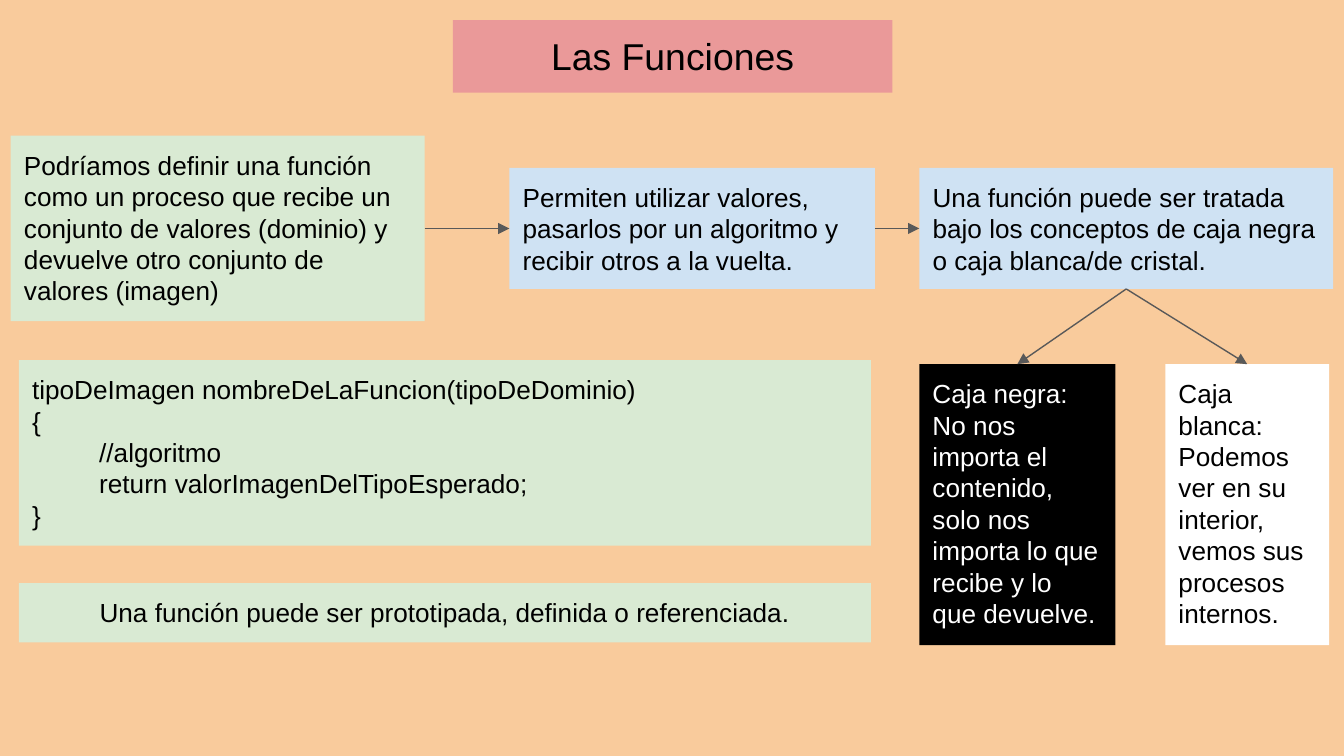
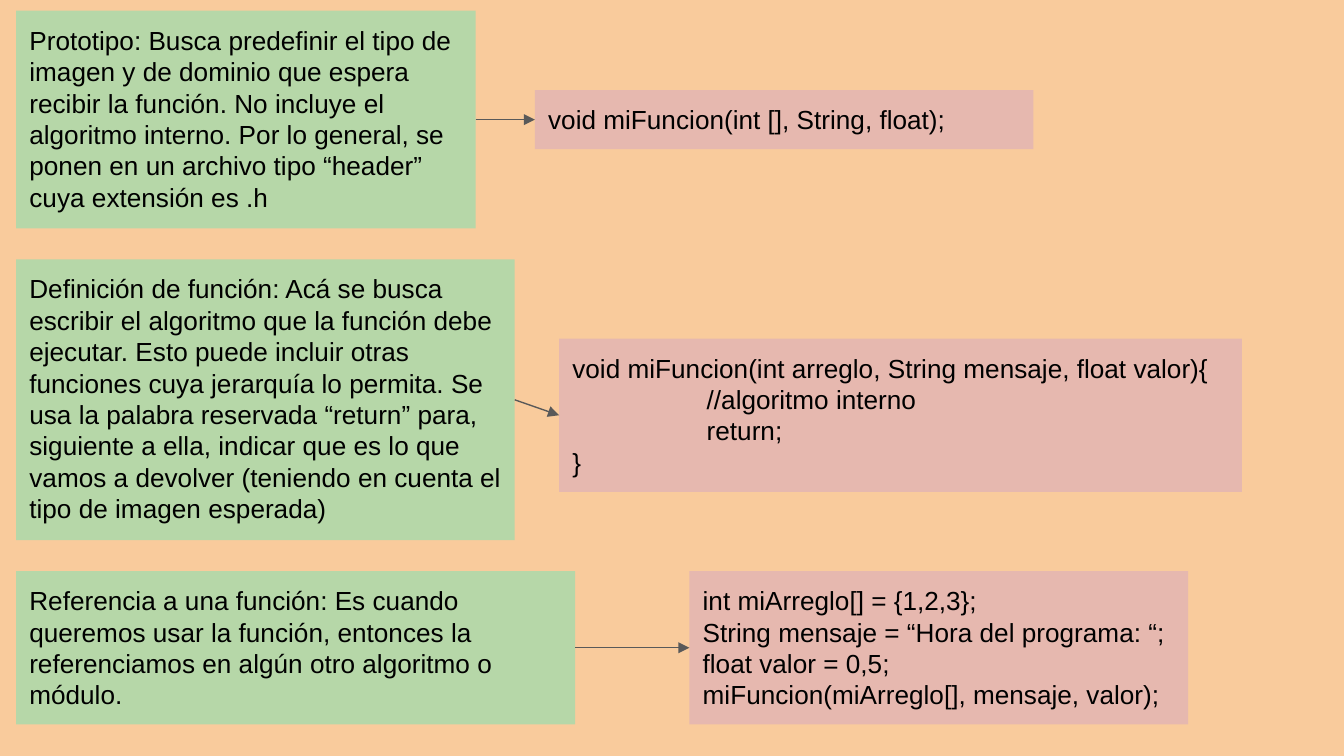
from lxml.etree import SubElement
from pptx import Presentation
from pptx.dml.color import RGBColor
from pptx.enum.shapes import MSO_CONNECTOR as Connector, MSO_SHAPE as Shape
from pptx.enum.text import MSO_ANCHOR as Anchor, MSO_AUTO_SIZE as AutoSize, PP_ALIGN as Align
from pptx.oxml.ns import qn
from pptx.util import Inches, Pt

PEACH, ROSE, PINK = "F9CB9C", "EA9999", "E6B8AF"
BLUE, PALE_GREEN, GREEN = "CFE2F3", "D9EAD3", "B6D7A8"
BLACK, WHITE, GRAY = "000000", "FFFFFF", "595959"
TOP, LEFT, BOTTOM, RIGHT = range(4)
TITLE_ONLY, BLANK = 5, 6


def paint(color_format, color):
    color_format.rgb = RGBColor.from_string(color)


def fill_with(target, color):
    target.fill.solid()
    paint(target.fill.fore_color, color)


def add_page(deck, layout):
    page = deck.slides.add_slide(deck.slide_layouts[layout])
    fill_with(page.background, PEACH)
    return page


def write(box, text, size, color, align, fit):
    frame = box.text_frame
    frame.word_wrap = True
    frame.auto_size = fit
    frame.vertical_anchor = Anchor.TOP
    frame.margin_left = frame.margin_right = Inches(0.1)
    frame.margin_top = frame.margin_bottom = Inches(0.1)
    frame.text = text
    for para in frame.paragraphs:
        para.alignment = align
        for span in para.runs:
            span.font.name = "Arial"
            span.font.size = Pt(size)
            paint(span.font.color, color)


def add_title(page, text, place):
    title = page.shapes.title
    title.left, title.top, title.width, title.height = map(Inches, place)
    fill_with(title, ROSE)
    write(title, text, 20, BLACK, Align.CENTER, AutoSize.NONE)


def add_box(page, place, fill, text, color=BLACK, align=Align.LEFT):
    box = page.shapes.add_shape(Shape.RECTANGLE, *map(Inches, place))
    box.shadow.inherit = False
    box.line.fill.background()
    fill_with(box, fill)
    write(box, text, 14, color, align, AutoSize.SHAPE_TO_FIT_TEXT)
    return box


def indent_lines(paras, distance):
    for para in paras:
        properties = para._p.get_or_add_pPr()
        properties.set("marL", "0")
        properties.set("indent", str(Inches(distance)))


def set_tab(paras, distance):
    for para in paras:
        stops = SubElement(para._p.get_or_add_pPr(), qn("a:tabLst"))
        SubElement(stops, qn("a:tab"), pos=str(Inches(distance)), algn="l")


def add_arrow(page, source, target, start=RIGHT, end=LEFT):
    arrow = page.shapes.add_connector(Connector.STRAIGHT, 0, 0, 0, 0)
    arrow.begin_connect(source, start)
    arrow.end_connect(target, end)
    arrow.line.width = Pt(0.75)
    paint(arrow.line.color, GRAY)
    SubElement(arrow.line._get_or_add_ln(), qn("a:tailEnd"), type="triangle")
    SubElement(arrow._element.spPr, qn("a:effectLst"))


def build_concepts(deck):
    page = add_page(deck, TITLE_ONLY)
    add_title(page, "Las Funciones", (3.37, 0.15, 3.27, 0.54))
    definition = add_box(
        page, (0.08, 1.01, 3.08, 1.38), PALE_GREEN,
        "Podríamos definir una función como un proceso que recibe un conjunto "
        "de valores (dominio) y devuelve otro conjunto de valores (imagen)")
    purpose = add_box(
        page, (3.79, 1.25, 2.72, 0.9), BLUE,
        "Permiten utilizar valores, pasarlos por un algoritmo y recibir otros a la vuelta.")
    concepts = add_box(
        page, (6.84, 1.25, 3.08, 0.9), BLUE,
        "Una función puede ser tratada bajo los conceptos de caja negra "
        "o caja blanca/de cristal.")
    black_box = add_box(
        page, (6.84, 2.71, 1.46, 2.09), BLACK,
        "Caja negra: No nos importa el contenido, solo nos importa lo que "
        "recibe y lo que devuelve.", WHITE)
    white_box = add_box(
        page, (8.67, 2.71, 1.22, 2.09), WHITE,
        "Caja blanca: Podemos ver en su interior, vemos sus procesos internos.")
    syntax = add_box(
        page, (0.14, 2.68, 6.34, 1.38), PALE_GREEN,
        "tipoDeImagen nombreDeLaFuncion(tipoDeDominio)\n{\n//algoritmo\n"
        "return valorImagenDelTipoEsperado;\n}")
    indent_lines(syntax.text_frame.paragraphs[2:4], 0.5)
    add_box(page, (0.14, 4.34, 6.34, 0.44), PALE_GREEN,
            "Una función puede ser prototipada, definida o referenciada.",
            align=Align.CENTER)

    add_arrow(page, definition, purpose)
    add_arrow(page, purpose, concepts)
    for kind in (black_box, white_box):
        add_arrow(page, concepts, kind, BOTTOM, TOP)


def build_examples(deck):
    page = add_page(deck, BLANK)
    prototype = add_box(
        page, (0.12, 0.08, 3.42, 1.62), GREEN,
        "Prototipo: Busca predefinir el tipo de imagen y de dominio que espera "
        "recibir la función. No incluye el algoritmo interno. Por lo general, se "
        "ponen en un archivo tipo “header” cuya extensión es .h")
    definition = add_box(
        page, (0.12, 1.93, 3.71, 2.09), GREEN,
        "Definición de función: Acá se busca escribir el algoritmo que la función "
        "debe ejecutar. Esto puede incluir otras funciones cuya jerarquía lo "
        "permita. Se usa la palabra reservada “return” para, siguiente a ella, "
        "indicar que es lo que vamos a devolver (teniendo en cuenta el tipo de "
        "imagen esperada)")
    reference = add_box(
        page, (0.12, 4.25, 4.16, 1.14), GREEN,
        "Referencia a una función: Es cuando queremos usar la función, entonces "
        "la referenciamos en algún otro algoritmo o módulo.")
    prototype_code = add_box(
        page, (3.98, 0.67, 3.71, 0.44), PINK, "void miFuncion(int [], String, float);")
    definition_code = add_box(
        page, (4.16, 2.52, 5.08, 1.14), PINK,
        "void miFuncion(int arreglo, String mensaje, float valor){\n"
        "\t//algoritmo interno\n\treturn;\n}")
    set_tab(definition_code.text_frame.paragraphs[1:3], 1)
    reference_code = add_box(
        page, (5.13, 4.25, 3.71, 1.14), PINK,
        "int miArreglo[] = {1,2,3};\nString mensaje = “Hora del programa: “;\n"
        "float valor = 0,5;\nmiFuncion(miArreglo[], mensaje, valor);")

    add_arrow(page, prototype, prototype_code)
    add_arrow(page, definition, definition_code)
    add_arrow(page, reference, reference_code)


def main():
    deck = Presentation()
    deck.slide_width = Inches(10)
    deck.slide_height = deck.slide_width * 9 // 16
    build_concepts(deck)
    build_examples(deck)
    deck.save("out.pptx")


if __name__ == "__main__":
    main()
